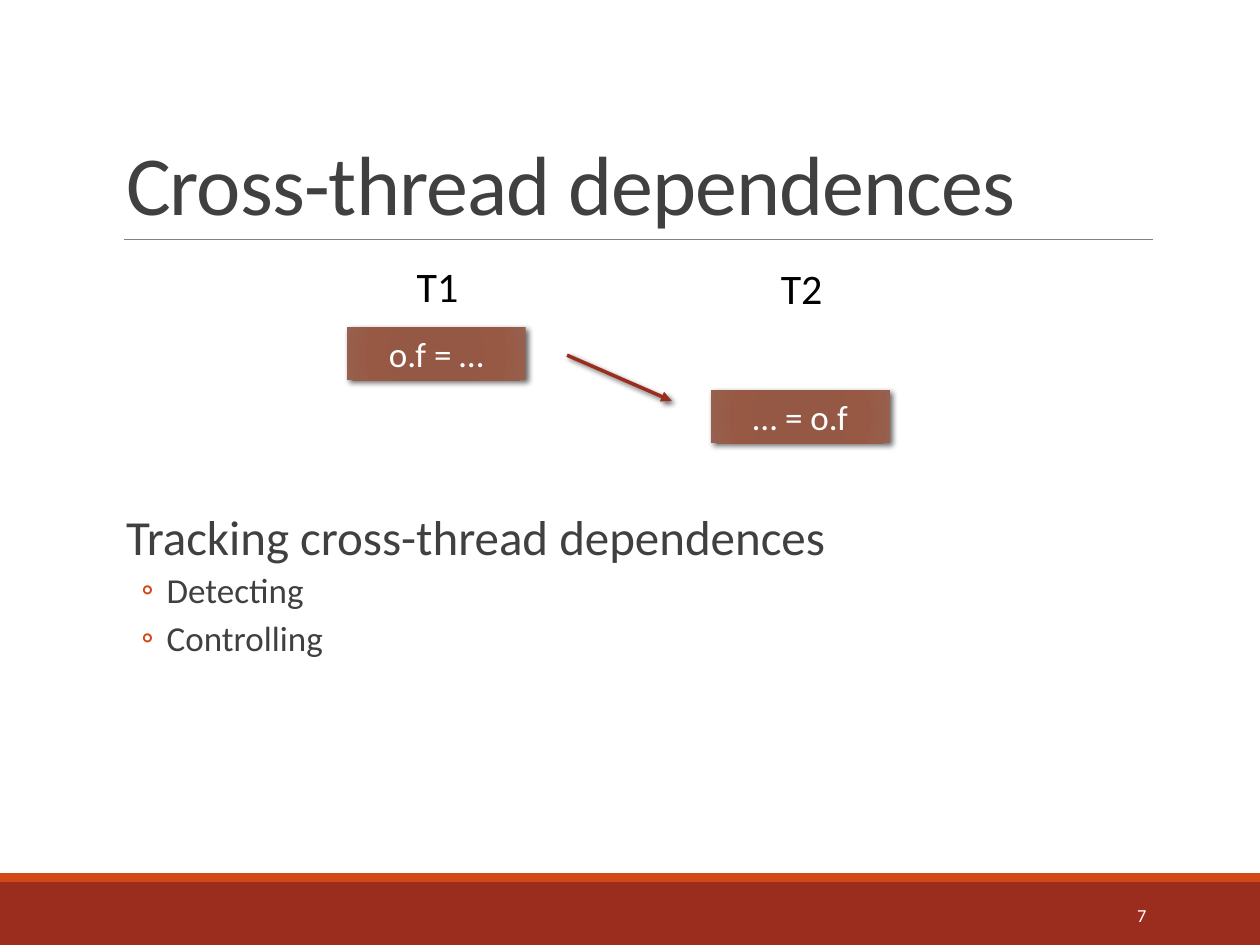
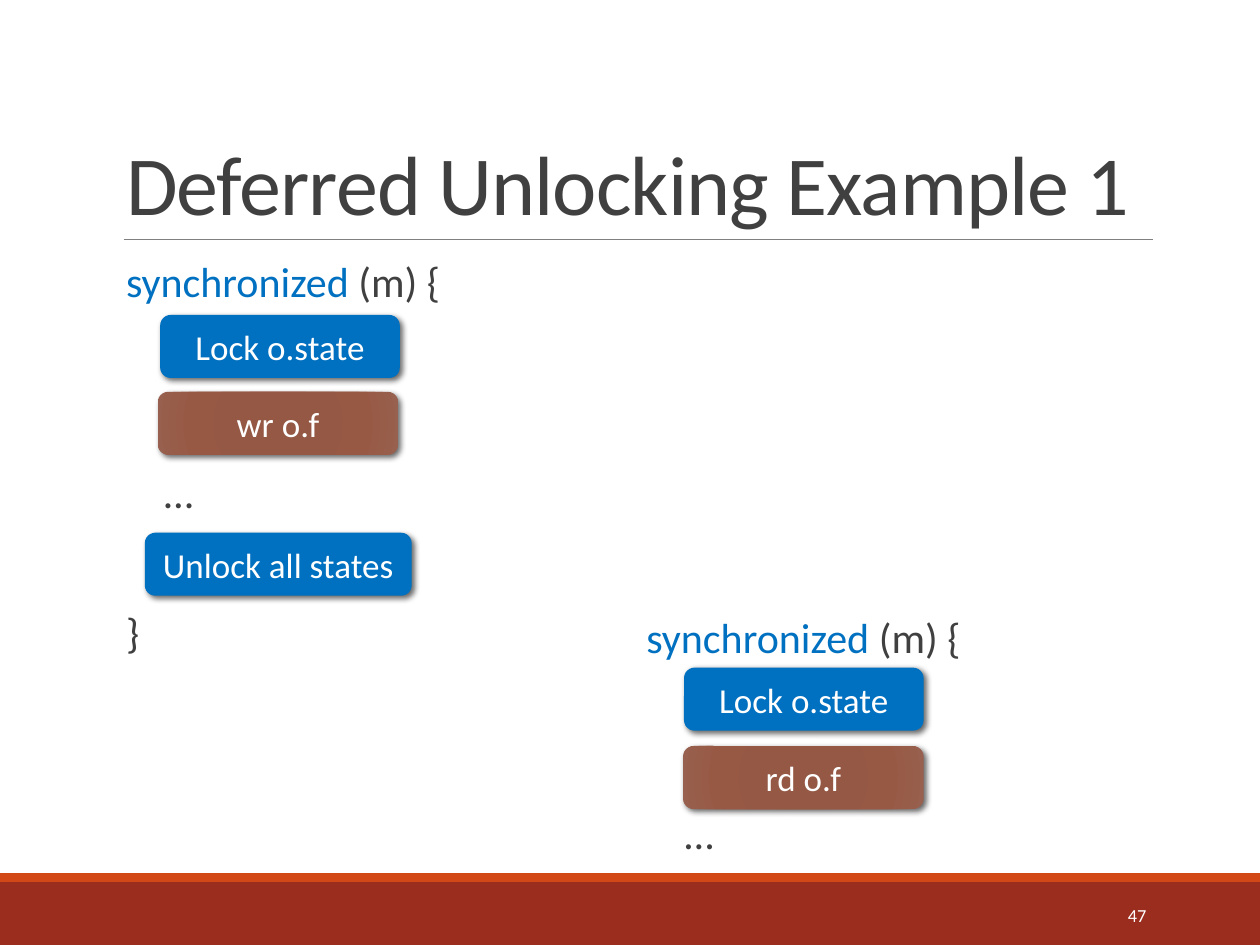
from lxml import etree
from pptx import Presentation
from pptx.dml.color import RGBColor
from pptx.enum.shapes import MSO_CONNECTOR, MSO_SHAPE
from pptx.enum.text import MSO_ANCHOR, MSO_AUTO_SIZE, PP_ALIGN
from pptx.oxml import parse_xml
from pptx.oxml.ns import nsdecls, qn
from pptx.util import Cm, Pt

RECT, ROUND = MSO_SHAPE.RECTANGLE, MSO_SHAPE.ROUNDED_RECTANGLE
STRAIGHT = MSO_CONNECTOR.STRAIGHT
LEFT, CENTER, RIGHT = PP_ALIGN.LEFT, PP_ALIGN.CENTER, PP_ALIGN.RIGHT
TOP, MIDDLE, BOTTOM = MSO_ANCHOR.TOP, MSO_ANCHOR.MIDDLE, MSO_ANCHOR.BOTTOM
FONT = "Calibri"
RED, ORANGE, BLUE = "9B2D1F", "D34817", "0070C0"
INK, GREY, WHITE, BLACK = "404040", "808080", "FFFFFF", "000000"
BROWN = [(0, "945742"), (34, "945844"), (70, "985944"), (100, "98604E")]

# Content: positions are left, top, width, height in cm
TITLE_AT = (2.29, 0.79, 20.96, 4.04)
NUMBER_AT = (20.62, 17.93, 2.74, 1.02)
BANDS = [((0, 17.78, 25.4, 1.27), RED), ((0, 17.6, 25.4, 0.18), ORANGE)]
RULE = (2.49, 4.83, 23.24, 4.83)

TRACKING_AT = (2.29, 10.21, 20.96, 6.1)
TRACKING = ("Tracking cross-thread dependences", ["Detecting", "Controlling"])
THREADS = [("T1", (8.15, 5.13, 1.57, 1.27)), ("T2", (15.49, 5.16, 1.45, 1.27))]
ACCESSES = [("o.f = …", (6.99, 6.6, 3.61, 1.07)),
            ("… = o.f", (14.33, 7.87, 3.61, 1.07))]
DEPENDENCE = (11.43, 7.16, 13.54, 8.08)

# Code lines: runs, indent in cm, lines left free above for the boxes
OPENING = ([("synchronized", BLUE), (" (m) {", INK)], 0.25, 0)
DOTS = ([("…", INK)], 1.02, 2)
CLOSING = ([("}", INK)], 0.25, 1)
FIRST_AT, FIRST_CODE = (2.29, 5.13, 7.44, 11.18), [OPENING, DOTS, CLOSING]
SECOND_AT, SECOND_CODE = (12.78, 12.4, 7.44, 5.28), [OPENING, DOTS]
STEPS = [("Unlock all states", (2.92, 10.74, 5.38, 1.27), BLUE),
         ("Lock o.state", (3.23, 6.35, 4.83, 1.27), BLUE),
         ("wr o.f", (3.18, 7.9, 4.85, 1.27), BROWN),
         ("Lock o.state", (13.79, 13.46, 4.83, 1.27), BLUE),
         ("rd o.f", (13.77, 15.04, 4.85, 1.27), BROWN)]


def rgb(color):
    return RGBColor.from_string(color)


def cm(values):
    return [Cm(v) for v in values]


def assign(obj, formats):
    for name, value in formats.items():
        setattr(obj, name, value)


def place(sp, at):
    assign(sp, dict(zip(("left", "top", "width", "height"), cm(at))))


def frame(sp, anchor=TOP, side=0.25):
    tf = sp.text_frame
    assign(tf, dict(word_wrap=True, auto_size=MSO_AUTO_SIZE.NONE,
                    vertical_anchor=anchor, margin_left=Cm(side),
                    margin_right=Cm(side), margin_top=Cm(0.13),
                    margin_bottom=Cm(0.13)))
    return tf


def add_run(p, text, size, color):
    r = p.add_run()
    r.text = text
    assign(r.font, dict(name=FONT, size=Pt(size), bold=False))
    r.font.color.rgb = rgb(color)
    return r


def paragraph(tf, runs, size, indent=0, hanging=0, bullet=None, **formats):
    """Fill the first paragraph if it is free, otherwise add one."""
    p = tf.paragraphs[0]
    if p.runs:
        p = tf.add_paragraph()
    assign(p, {"alignment": LEFT, "space_before": Pt(0),
               "space_after": Pt(0), **formats})
    pPr = p._p.get_or_add_pPr()
    pPr.set("marL", str(Cm(indent)))
    pPr.set("indent", str(Cm(-hanging)))
    if bullet:
        clr = etree.SubElement(pPr, qn("a:buClr"))
        etree.SubElement(clr, qn("a:srgbClr"), val=ORANGE)
        etree.SubElement(pPr, qn("a:buFont"), typeface=FONT)
        etree.SubElement(pPr, qn("a:buChar"), char=bullet)
    else:
        etree.SubElement(pPr, qn("a:buNone"))
    for text, color in runs:
        r = add_run(p, text, size, color)
    return r


def add_shadow(spPr, blur):
    """Give a shape or connector a soft shadow to the lower right."""
    effects = spPr.find(qn("a:effectLst"))
    effects.append(parse_xml(
        f'<a:outerShdw {nsdecls("a")} blurRad="{Pt(blur)}" dist="{Pt(2)}" '
        f'dir="2700000" algn="tl" rotWithShape="0"><a:srgbClr val="{BLACK}">'
        '<a:alpha val="60000"/></a:srgbClr></a:outerShdw>'))


def add_block(s, kind, at, fill):
    sp = s.shapes.add_shape(kind, *cm(at))
    sp.shadow.inherit = False
    sp.line.fill.background()
    if isinstance(fill, str):
        sp.fill.solid()
        sp.fill.fore_color.rgb = rgb(fill)
    else:
        stops = "".join(f'<a:gs pos="{pos * 1000}"><a:srgbClr val="{color}"/>'
                        '</a:gs>' for pos, color in fill)
        geom = sp._element.spPr.find(qn("a:prstGeom"))
        geom.addnext(parse_xml(
            f'<a:gradFill {nsdecls("a")} rotWithShape="1"><a:gsLst>{stops}'
            '</a:gsLst><a:path path="circle"><a:fillToRect l="100000" '
            't="100000" r="100000" b="100000"/></a:path></a:gradFill>'))
    return sp


def add_step(s, kind, text, at, fill):
    sp = add_block(s, kind, at, fill)
    add_shadow(sp._element.spPr, 3.5)
    paragraph(frame(sp, MIDDLE, 0.1), [(text, WHITE)], 20, alignment=CENTER)


def add_line(s, ends, color, width):
    cn = s.shapes.add_connector(STRAIGHT, *cm(ends))
    cn.line.color.rgb = rgb(color)
    cn.line.width = Pt(width)
    etree.SubElement(cn._element.spPr, qn("a:effectLst"))
    return cn


def add_label(s, text, at, size, color, anchor=TOP, align=LEFT):
    tf = frame(s.shapes.add_textbox(*cm(at)), anchor)
    paragraph(tf, [(text, color)], size, alignment=align)


def add_code(sp, lines, spacing):
    tf = frame(sp, side=0)
    row = 24 * 1.22 * spacing + 14
    for runs, indent, free in lines:
        paragraph(tf, runs, 24, indent, line_spacing=spacing,
                  space_before=Pt(round(12 + free * row, 1)),
                  space_after=Pt(2))


def new_slide(prs, title, number):
    """Add a slide with bands, rule, title and number; return it and its body."""
    s = prs.slides.add_slide(prs.slide_layouts[1])
    for at, color in BANDS:
        add_block(s, RECT, at, color)
    add_line(s, RULE, GREY, 0.5)
    place(s.shapes.title, TITLE_AT)
    r = paragraph(frame(s.shapes.title, BOTTOM), [(title, INK)], 48,
                  line_spacing=0.85)
    r.font._element.set("spc", "-50")
    add_label(s, number, NUMBER_AT, 10.5, WHITE, MIDDLE, RIGHT)
    return s, s.placeholders[1]


def dependences_slide(prs):
    s, body = new_slide(prs, "Cross-thread dependences", "7")
    # Heading and list
    place(body, TRACKING_AT)
    tf = frame(body, side=0)
    heading, items = TRACKING
    paragraph(tf, [(heading, INK)], 28, 0.25, line_spacing=0.9,
              space_after=Pt(2))
    for item in items:
        paragraph(tf, [(item, INK)], 20, 1.07, 0.51, "◦", level=1,
                  line_spacing=0.9, space_before=Pt(2), space_after=Pt(4))
    # Two threads and the dependence between them
    for text, at in ACCESSES:
        add_step(s, RECT, text, at, BROWN)
    arrow = add_line(s, DEPENDENCE, RED, 2)
    etree.SubElement(arrow.line._get_or_add_ln(), qn("a:tailEnd"),
                     type="triangle")
    add_shadow(arrow._element.spPr, 3)
    for text, at in THREADS:
        add_label(s, text, at, 24, BLACK)


def unlocking_slide(prs):
    s, body = new_slide(prs, "Deferred Unlocking Example 1", "47")
    # Code of both threads
    place(body, FIRST_AT)
    add_code(body, FIRST_CODE, 0.9)
    add_code(s.shapes.add_textbox(*cm(SECOND_AT)), SECOND_CODE, 0.8)
    # Steps inside the code
    for text, at, fill in STEPS:
        add_step(s, ROUND, text, at, fill)


def main():
    prs = Presentation()
    prs.slide_width, prs.slide_height = Cm(25.4), Cm(19.05)
    dependences_slide(prs)
    unlocking_slide(prs)
    prs.save("out.pptx")


if __name__ == "__main__":
    main()
